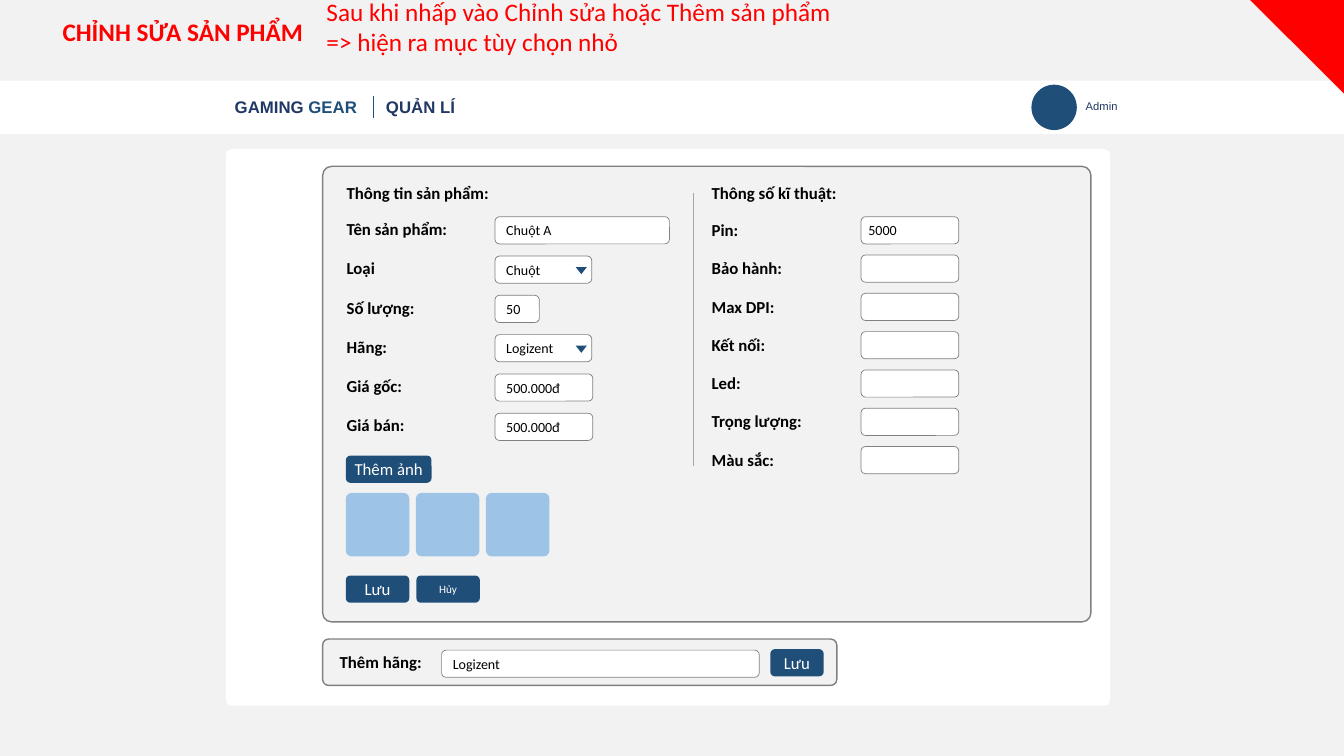
from lxml.etree import SubElement
from pptx import Presentation
from pptx.dml.color import RGBColor
from pptx.enum.shapes import MSO_CONNECTOR, MSO_SHAPE
from pptx.enum.text import MSO_ANCHOR, PP_ALIGN
from pptx.oxml.ns import qn
from pptx.util import Inches, Pt

RED = RGBColor(0xFF, 0x00, 0x00)
NAVY = RGBColor(0x20, 0x38, 0x64)
BLUE = RGBColor(0x1F, 0x4E, 0x79)
SKY = RGBColor(0x9D, 0xC3, 0xE6)
PALE = RGBColor(0xF2, 0xF2, 0xF2)
GREY = RGBColor(0x80, 0x80, 0x80)
SILVER = RGBColor(0xA6, 0xA6, 0xA6)
WHITE = RGBColor(0xFF, 0xFF, 0xFF)
BLACK = RGBColor(0x00, 0x00, 0x00)

ROW_H = 0.27


def add_run(p, text, size, color, bold=False, font="Calibri"):
    r = p.add_run()
    r.text = text
    r.font.name = font
    r.font.size = Pt(size)
    r.font.bold = bold
    r.font.color.rgb = color


def add_box(s, kind, x, y, w, h, fill, line=None, weight=0.5, adj=None):
    sp = s.shapes.add_shape(kind, Inches(x), Inches(y), Inches(w), Inches(h))
    sp.shadow.inherit = False
    sp.fill.solid()
    sp.fill.fore_color.rgb = fill
    if line is None:
        sp.line.fill.background()
    else:
        sp.line.color.rgb = line
        sp.line.width = Pt(weight)
    if adj is not None:
        sp.adjustments[0] = adj
    return sp


def add_text(s, x, y, w, h, runs, size, font="Calibri", bold=False, wrap=False):
    tf = s.shapes.add_textbox(Inches(x), Inches(y), Inches(w), Inches(h)).text_frame
    tf.word_wrap = wrap
    for text, color in runs:
        add_run(tf.paragraphs[0], text, size, color, bold, font)
    return tf


def add_label(s, x, y, text, w=1.2):
    add_text(s, x, y, w, 0.3, [(text, BLACK)], 12, bold=True)


def add_divider(s, x, top, bottom, color):
    cx = s.shapes.add_connector(
        MSO_CONNECTOR.STRAIGHT, Inches(x), Inches(top), Inches(x), Inches(bottom))
    cx.line.color.rgb = color
    cx.line.width = Pt(0.5)
    SubElement(cx._element.spPr, qn("a:effectLst"))


def add_field(s, x, y, w, text="", inset=0.1):
    sp = add_box(s, MSO_SHAPE.ROUNDED_RECTANGLE, x, y, w, ROW_H, WHITE, GREY)
    if text:
        tf = sp.text_frame
        tf.margin_left = Inches(inset)
        tf.vertical_anchor = MSO_ANCHOR.MIDDLE
        p = tf.paragraphs[0]
        p.alignment = PP_ALIGN.LEFT
        add_run(p, text, 10, BLACK)


def add_button(s, x, y, w, text, size=12):
    sp = add_box(s, MSO_SHAPE.ROUNDED_RECTANGLE, x, y, w, ROW_H, BLUE)
    tf = sp.text_frame
    tf.margin_left = tf.margin_right = tf.margin_top = tf.margin_bottom = 0
    tf.vertical_anchor = MSO_ANCHOR.MIDDLE
    p = tf.paragraphs[0]
    p.alignment = PP_ALIGN.CENTER
    add_run(p, text, size, WHITE)


def add_heading(s, x, y, w, h):
    title = s.shapes.title
    title.left, title.top = Inches(x), Inches(y)
    title.width, title.height = Inches(w), Inches(h)
    tf = title.text_frame
    tf.word_wrap = False
    tf.vertical_anchor = MSO_ANCHOR.TOP
    p = tf.paragraphs[0]
    p.alignment = PP_ALIGN.LEFT
    add_run(p, "CHỈNH SỬA SẢN PHẨM", 18, RED, True)
    tf = add_text(s, x + w + 0.01, y - 0.2, 5.27, 0.71,
                  [("Sau khi nhấp vào Chỉnh sửa hoặc Thêm sản phẩm", RED)], 18)
    tf.paragraphs[0].add_line_break()
    add_run(tf.paragraphs[0], "=> hiện ra mục tùy chọn nhỏ", 18, RED)


def add_nav_bar(s, x, y, w, h):
    add_box(s, MSO_SHAPE.RECTANGLE, x, y, w, h, WHITE)
    add_text(s, x + 2.23, y + 0.11, 1.43, 0.3,
             [("GAMING", NAVY), (" GEAR", BLUE)], 12, "Arial", True)
    add_divider(s, x + 3.7, y + 0.15, y + 0.37, BLUE)
    add_text(s, x + 3.73, y + 0.11, 0.89, 0.3, [("QUẢN LÍ", NAVY)], 12, "Arial", True)
    add_box(s, MSO_SHAPE.OVAL, x + 10.23, y + 0.04, 0.45, 0.45, BLUE)
    add_text(s, x + 10.67, y + 0.14, 0.67, 0.24, [("Admin", NAVY)], 8, "Arial", wrap=True)


def add_product_info(s, x, y):
    add_label(s, x, y, "Thông tin sản phẩm:", 1.63)
    rows = [
        ("Tên sản phẩm:", "Chuột A", 1.73, False),
        ("Loại", "Chuột", 0.96, True),
        ("Số lượng:", "50", 0.44, False),
        ("Hãng:", "Logizent", 0.96, True),
        ("Giá gốc:", "500.000đ", 0.97, False),
        ("Giá bán:", "500.000đ", 0.97, False),
    ]
    for i, (label, value, w, dropdown) in enumerate(rows):
        top = y + 0.36 + 0.39 * i
        add_label(s, x, top, label)
        add_field(s, x + 1.57, top + 0.03, w, value)
        if dropdown:
            arrow = add_box(s, MSO_SHAPE.ISOSCELES_TRIANGLE,
                            x + 2.37, top + 0.14, 0.11, 0.07, BLUE)
            arrow.rotation = 180
    left = x + 0.09
    add_button(s, left, y + 2.76, 0.85, "Thêm ảnh")
    for i in range(3):
        add_box(s, MSO_SHAPE.ROUNDED_RECTANGLE, left + 0.695 * i, y + 3.13,
                0.63, 0.63, SKY, adj=0.09)
    add_button(s, left, y + 3.95, 0.63, "Lưu")
    add_button(s, left + 0.7, y + 3.95, 0.63, "Hủy", 8)


def add_specs(s, x, y):
    add_label(s, x, y, "Thông số kĩ thuật:", 1.46)
    labels = ["Pin:", "Bảo hành:", "Max DPI:", "Kết nối:", "Led:", "Trọng lượng:", "Màu sắc:"]
    for i, label in enumerate(labels):
        top = y + 0.37 + 0.38 * i
        add_label(s, x, top, label)
        add_field(s, x + 1.58, top + 0.02, 0.97, "5000" if i == 0 else "", 0.06)


def add_product_form(s, x, y, w, h):
    add_box(s, MSO_SHAPE.ROUNDED_RECTANGLE, x, y, w, h, PALE, GREY, 1, 0.02)
    add_product_info(s, x + 0.14, y + 0.11)
    add_divider(s, x + 3.68, y + 0.26, y + 2.97, SILVER)
    add_specs(s, x + 3.76, y + 0.11)


def add_brand_form(s, x, y, w, h):
    add_box(s, MSO_SHAPE.ROUNDED_RECTANGLE, x, y, w, h, PALE, GREY, 1, 0.13)
    add_label(s, x + 0.07, y + 0.08, "Thêm hãng:")
    add_field(s, x + 1.18, y + 0.11, 3.15, "Logizent")
    add_button(s, x + 4.44, y + 0.1, 0.53, "Lưu")


def main():
    prs = Presentation()
    prs.slide_width, prs.slide_height = Inches(13.33), Inches(7.5)
    s = prs.slides.add_slide(prs.slide_layouts[5])
    s.background.fill.solid()
    s.background.fill.fore_color.rgb = PALE
    add_heading(s, 0.52, 0.11, 2.61, 0.4)
    add_nav_bar(s, 0, 0.8, 13.33, 0.53)
    add_box(s, MSO_SHAPE.ROUNDED_RECTANGLE, 2.24, 1.48, 8.77, 5.52, WHITE, adj=0.01)
    add_product_form(s, 3.2, 1.65, 7.62, 4.52)
    add_brand_form(s, 3.2, 6.34, 5.1, 0.46)
    corner = add_box(s, MSO_SHAPE.RIGHT_TRIANGLE, 12.4, 0, 0.93, 0.93, RED)
    corner.rotation = 180
    prs.save("out.pptx")


if __name__ == "__main__":
    main()
